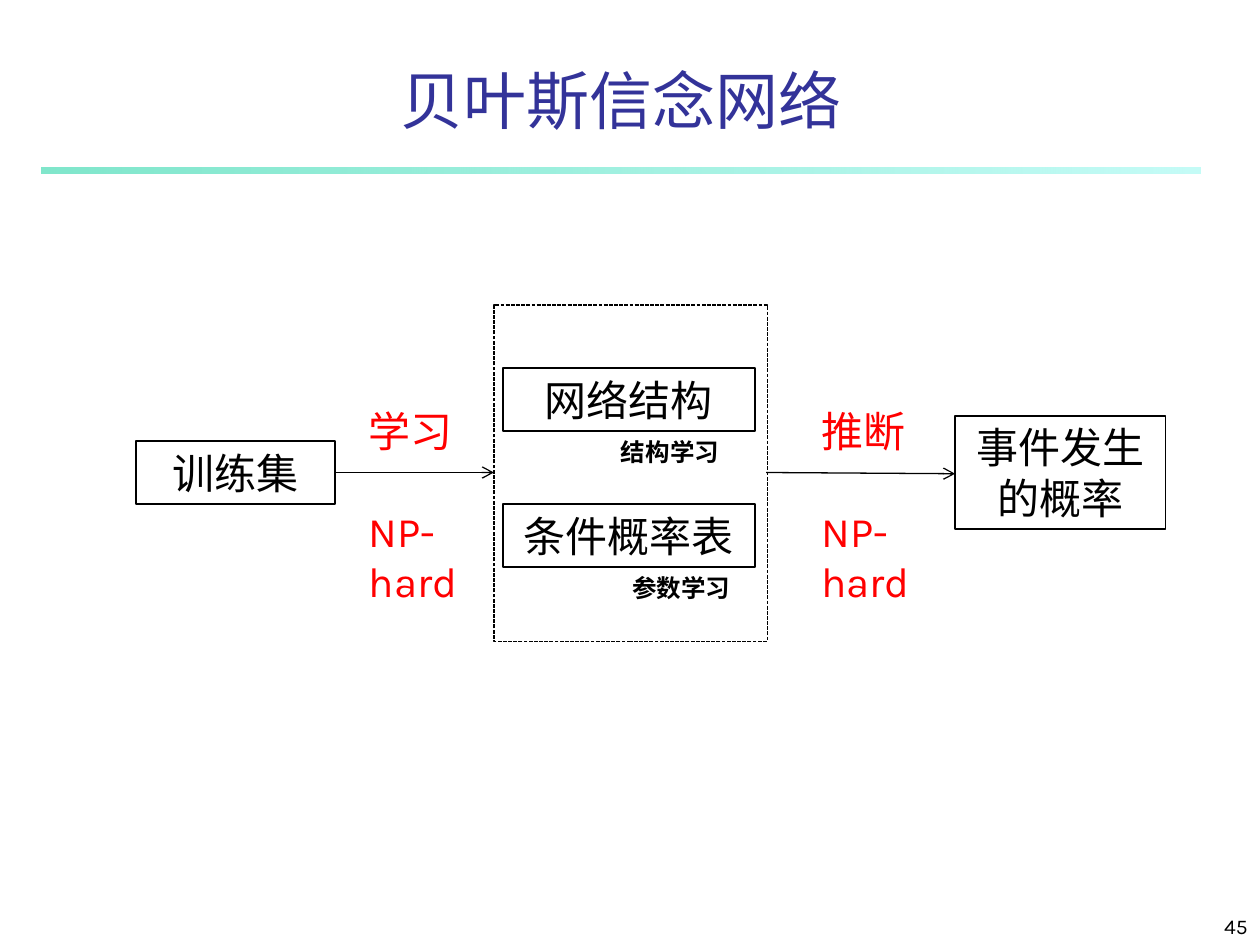
"""Build the slide on Bayesian belief networks."""
from lxml import etree
from pptx import Presentation
from pptx import util as u
from pptx.dml.color import RGBColor
from pptx.enum import dml, shapes, text
from pptx.oxml import ns

HUE = {"ink": "000000", "title": "333399", "red": "FF0000",
       "teal": "00CE98", "pale": "8FF9EF"}
LEFT, MID, RIGHT = text.PP_ALIGN.LEFT, text.PP_ALIGN.CENTER, text.PP_ALIGN.RIGHT
TOP, BASE = text.MSO_ANCHOR.TOP, text.MSO_ANCHOR.BOTTOM

deck = Presentation()
deck.slide_width, deck.slide_height = u.Inches(10), u.Inches(7.5)
slide = deck.slides.add_slide(deck.slide_layouts[6])


def write(shape, lines, size, hue="ink", align=LEFT, anchor=TOP, bold=False, gap=0):
    frame = shape.text_frame
    frame.word_wrap = True
    frame.vertical_anchor = anchor
    for i, line in enumerate(lines):
        para = frame.add_paragraph() if i else frame.paragraphs[0]
        para.alignment = align
        if i:
            para.space_before = u.Pt(gap)
        run = para.add_run()
        run.text = line
        run.font.name, run.font.size, run.font.bold = "Karla", u.Pt(size), bold
        run.font.color.rgb = RGBColor.from_string(HUE[hue])
    return frame


def frame_box(area, width):
    box = slide.shapes.add_shape(shapes.MSO_SHAPE.RECTANGLE, *map(u.Inches, area))
    box.shadow.inherit = False
    box.fill.background()
    box.line.color.rgb = RGBColor.from_string(HUE["ink"])
    box.line.width = u.Pt(width)
    return box


rule = frame_box((0.33, 1.33, 9.2, 0.05), 1)
rule.line.fill.background()
rule.fill.gradient()
rule.fill.gradient_angle = 0
for stop, hue in zip(rule.fill.gradient_stops, ("teal", "pale")):
    stop.color.rgb = RGBColor.from_string(HUE[hue])
for tint, alpha in zip(rule._element.spPr.iter(ns.qn("a:srgbClr")), (50000, 52000)):
    etree.SubElement(tint, ns.qn("a:alpha")).set("val", str(alpha))

title = slide.shapes.add_textbox(*map(u.Inches, (0.33, 0.42, 9.19, 0.67)))
body = write(title, ["贝叶斯信念网络"], 36, "title", MID, BASE)
body.margin_left = body.margin_right = body.margin_top = body.margin_bottom = 0

page = slide.shapes.add_textbox(*map(u.Inches, (7.92, 7.08, 2.08, 0.42)))
write(page, ["45"], 12, align=RIGHT, anchor=BASE)

for label, area in (
    ("网络结构", (3.99, 2.92, 2, 0.5)),
    ("训练集", (1.08, 3.5, 1.58, 0.5)),
    ("条件概率表", (3.99, 4, 2, 0.5)),
    ("事件发生的概率", (7.58, 3.3, 1.67, 0.9)),
):
    write(frame_box(area, 1), [label], 24, align=MID)

model = frame_box((3.92, 2.42, 2.17, 2.67), 0.75)
model.line.dash_style = dml.MSO_LINE.SQUARE_DOT

for ends in ((2.67, 3.75, 3.92, 3.75), (6.08, 3.75, 7.58, 3.76)):
    arrow = slide.shapes.add_connector(shapes.MSO_CONNECTOR.STRAIGHT, *map(u.Inches, ends))
    arrow.line.color.rgb = RGBColor.from_string(HUE["ink"])
    arrow.line.width = u.Pt(0.75)
    etree.SubElement(arrow.line._get_or_add_ln(), ns.qn("a:tailEnd")).set("type", "arrow")
    etree.SubElement(arrow._element.spPr, ns.qn("a:effectLst"))

for step, area in (("学习", (2.83, 3.17, 0.92, 2.1)), ("推断", (6.42, 3.17, 1, 1.7))):
    note = slide.shapes.add_textbox(*map(u.Inches, area))
    write(note, [step, "NP-hard"], 24, "red", gap=28)

for task, x, y in (("结构学习", 4.83, 3.42), ("参数学习", 4.92, 4.5)):
    note = slide.shapes.add_textbox(*map(u.Inches, (x, y, 1.08, 0.34)))
    write(note, [task], 14, bold=True)

deck.save("out.pptx")
